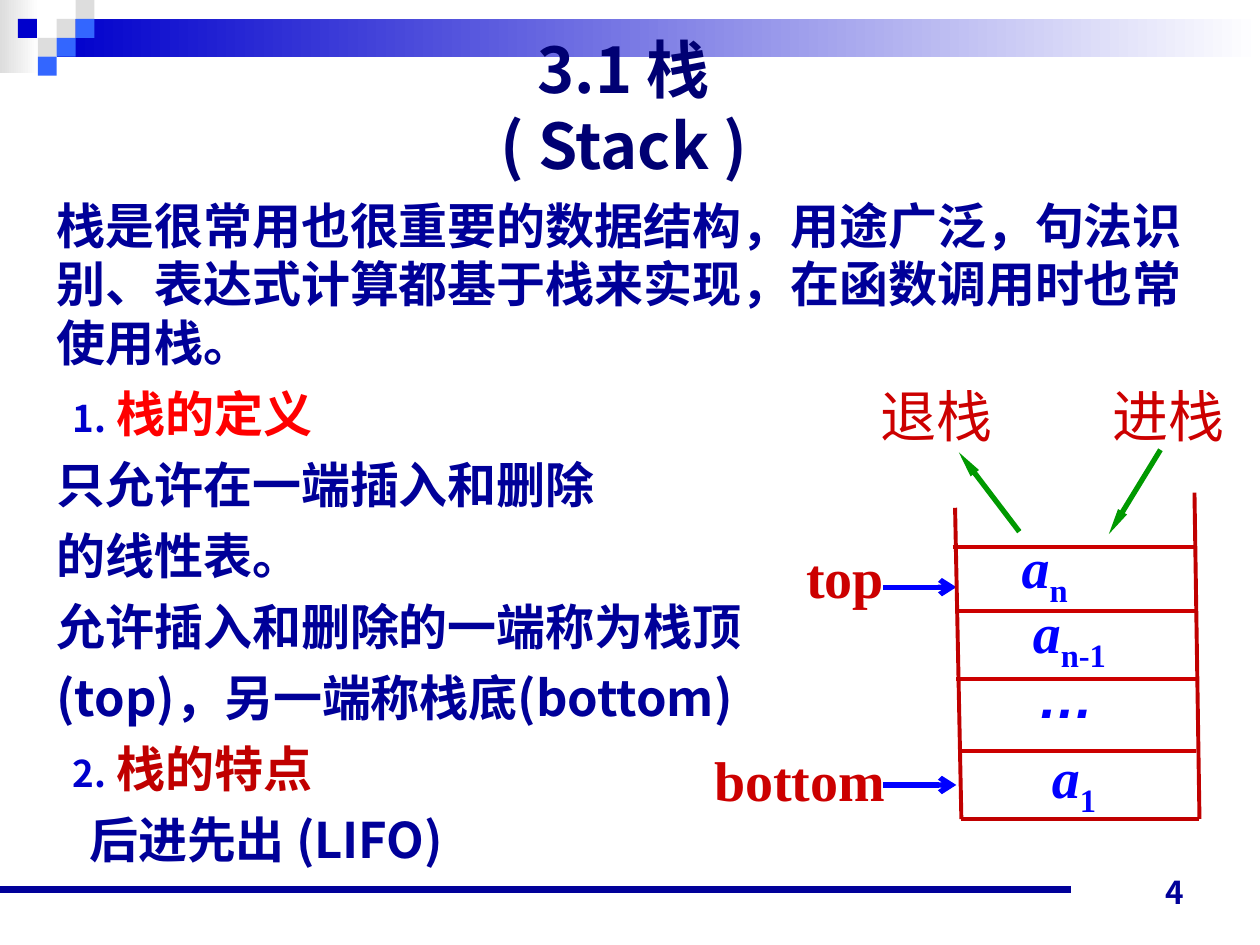
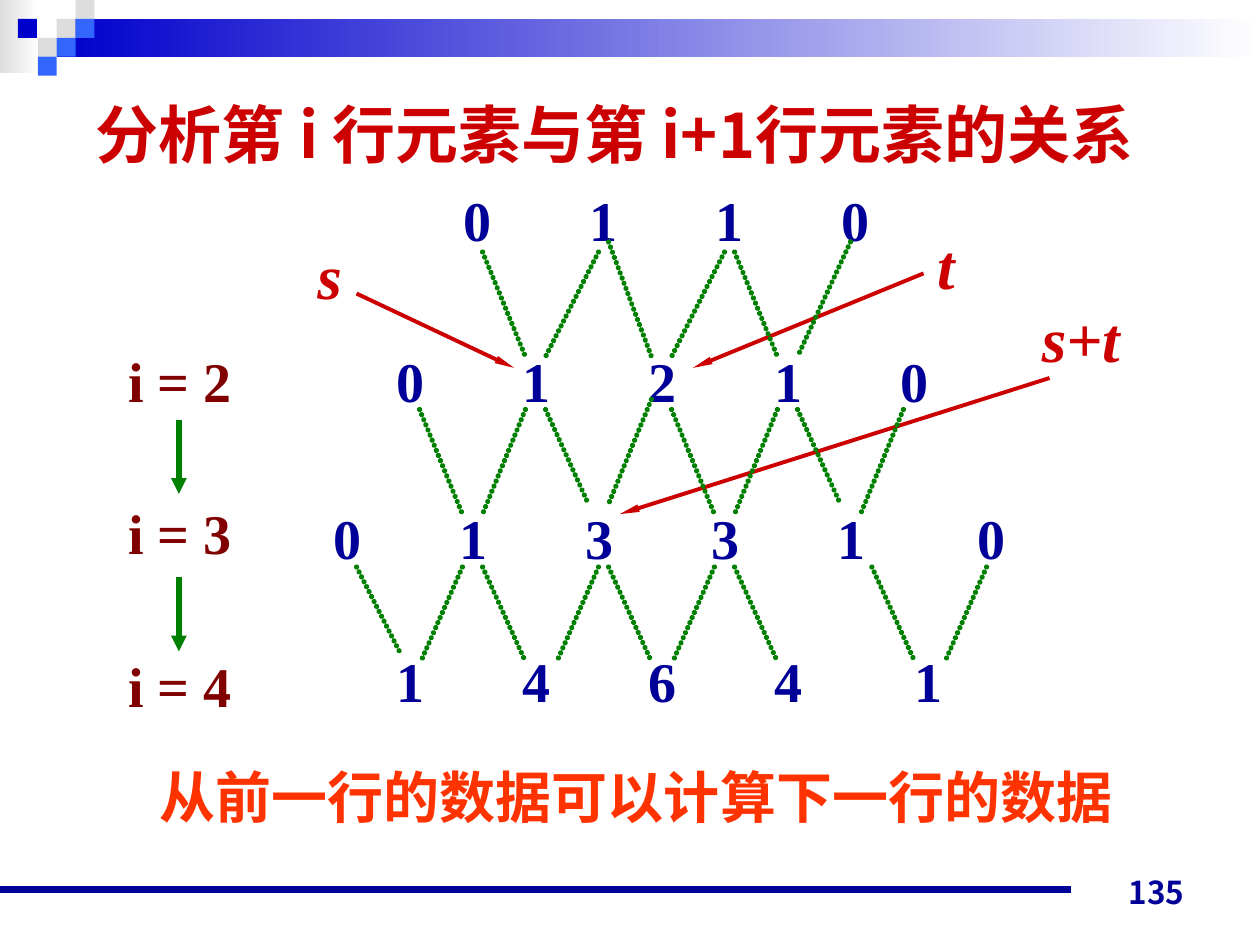
from lxml.etree import SubElement
from pptx import Presentation
from pptx.dml.color import RGBColor
from pptx.enum.shapes import MSO_CONNECTOR, MSO_SHAPE
from pptx.enum.text import MSO_ANCHOR, MSO_AUTO_SIZE, PP_ALIGN
from pptx.oxml.ns import qn
from pptx.util import Inches, Pt

WIDTH, HEIGHT = 10, 7.5
NAVY, BLUE, SKY, GREY = "000099", "0000CC", "3366FF", "DDDDDD"
RED, GREEN, INK, WHITE = "CC0000", "008000", "0000FF", "FFFFFF"
SANS, HAN, SERIF = "Noto Sans CJK JP", "Noto Sans CJK SC", "Times New Roman"

TITLE = {"name": SANS, "size": Pt(36), "bold": True}
BODY = {"name": HAN, "size": Pt(28), "bold": True}
NUMBER = {"name": SANS, "size": Pt(18), "bold": True}
PLAIN = {"name": SERIF, "size": Pt(32)}
STRONG = {**PLAIN, "bold": True}
ENTRY = {**STRONG, "italic": True}
POINTER = {**ENTRY, "size": Pt(36)}


def rgb(code):
    return RGBColor.from_string(code)


def style_run(run, color, style, east=None):
    """Apply font values; east names the font for Chinese text."""
    for key, value in style.items():
        setattr(run.font, key, value)
    run.font.color.rgb = rgb(color)
    latin = run.font._element.find(qn("a:latin"))
    ea = latin.makeelement(qn("a:ea"), {"typeface": east or style["name"]})
    latin.addnext(ea)


def write(paragraph, text, color, style, east=None, pitch=None):
    paragraph.text = text
    if pitch:
        paragraph.line_spacing = Pt(pitch)
    for run in paragraph.runs:
        style_run(run, color, style, east)


def add_box(slide, box, wrap=False, anchor=MSO_ANCHOR.TOP):
    frame = slide.shapes.add_textbox(*map(Inches, box)).text_frame
    frame.word_wrap = wrap
    frame.vertical_anchor = anchor
    return frame


def add_label(slide, box, text, color, style, wrap=False, **options):
    frame = add_box(slide, box, wrap)
    write(frame.paragraphs[0], text, color, style, **options)
    return frame.paragraphs[0]


def add_line(slide, start, end, color, width, head=None, slim=False, dotted=False):
    line = slide.shapes.add_connector(
        MSO_CONNECTOR.STRAIGHT, *map(Inches, (*start, *end)))
    line.line.color.rgb = rgb(color)
    line.line.width = Pt(width)
    properties = line.element.spPr
    stroke = properties.find(qn("a:ln"))
    if dotted:
        stroke.set("cap", "rnd")
        dashes = SubElement(stroke, qn("a:custDash"))
        SubElement(dashes, qn("a:ds"), d="100000", sp="5000")
    if head:
        size = {"w": "sm", "len": "lg"} if slim else {}
        SubElement(stroke, qn("a:tailEnd"), type=head, **size)
    SubElement(properties, qn("a:effectLst"))
    return line


def add_block(slide, box, color, fade=False):
    block = slide.shapes.add_shape(MSO_SHAPE.RECTANGLE, *map(Inches, box))
    block.shadow.inherit = False
    block.line.fill.background()
    if fade:
        block.fill.gradient()
        block.fill.gradient_angle = 0
        for stop, shade in zip(block.fill.gradient_stops, (color, WHITE)):
            stop.color.rgb = rgb(shade)
    else:
        block.fill.solid()
        block.fill.fore_color.rgb = rgb(color)
    return block


def decorate_layout(layout, slide):
    """Build the band, mosaic and rule on a slide, then move them to its layout."""
    tile = 0.15
    parts = [add_block(slide, (0, 0, 0.31, 0.58), GREY, fade=True),
             add_block(slide, (3 * tile, tile, WIDTH - 3 * tile, 2 * tile), BLUE, fade=True)]
    mosaic = [(3, 1, GREY), (4, 0, GREY), (4, 1, SKY), (2, 2, GREY),
              (0.95, 1, BLUE), (3, 2, SKY), (2, 3, SKY)]
    for column, row, color in mosaic:
        parts.append(add_block(slide, (column * tile, row * tile, tile, tile), color))
    rule = HEIGHT * 0.94 + 0.01
    parts.append(add_line(slide, (0, rule), (WIDTH * 0.85, rule), NAVY, 4.5))
    for part in parts:
        layout.shapes.element.append(part.element)


def set_title(slide, box, text, color, align, anchor):
    title = slide.shapes.title
    for side, value in zip(("left", "top", "width", "height"), box):
        setattr(title, side, Inches(value))
    frame = title.text_frame
    frame.auto_size = MSO_AUTO_SIZE.NONE
    frame.word_wrap = True
    frame.vertical_anchor = anchor
    write(frame.paragraphs[0], text, color, TITLE, pitch=43)
    frame.paragraphs[0].alignment = align


def add_page_number(slide, number):
    frame = add_box(slide, (7.17, 6.78, 2.33, 0.5), True, MSO_ANCHOR.BOTTOM)
    write(frame.paragraphs[0], number, NAVY, NUMBER)
    frame.paragraphs[0].alignment = PP_ALIGN.RIGHT


def indent(paragraph, left, first=0):
    properties = paragraph._p.get_or_add_pPr()
    properties.set("marL", str(Inches(left)))
    properties.set("indent", str(Inches(first)))
    return properties


def number_paragraph(paragraph, start):
    properties = indent(paragraph, 0.48, -0.35)
    SubElement(SubElement(properties, qn("a:buClr")), qn("a:srgbClr"), val=BLUE)
    SubElement(properties, qn("a:buSzPct"), val="75000")
    SubElement(properties, qn("a:buFont"), typeface=SANS)
    SubElement(properties, qn("a:buAutoNum"), type="arabicPeriod", startAt=str(start))


def add_definition(slide, box):
    paragraphs = [
        ("栈是很常用也很重要的数据结构，用途广泛，句法识别、表达式计算都基于栈来实现，在函数调用时也常使用栈。", NAVY, None),
        ("栈的定义", "FF0000", 1),
        ("只允许在一端插入和删除", NAVY, None),
        ("的线性表。", NAVY, None),
        ("允许插入和删除的一端称为栈顶", NAVY, None),
        ("(top)，另一端称栈底(bottom)", NAVY, None),
        ("栈的特点", "C00000", 2),
        ("后进先出 (LIFO)", NAVY, None),
    ]
    frame = add_box(slide, box, True)
    for position, (text, color, start) in enumerate(paragraphs):
        paragraph = frame.add_paragraph() if position else frame.paragraphs[0]
        write(paragraph, text, color, BODY, pitch=33.6)
        if position:
            paragraph.space_before = Pt(7)
        if start:
            number_paragraph(paragraph, start)
    indent(paragraph, 0.26)


def add_stack(slide, left, top):
    """Draw the stack with its top left corner at (left, top)."""
    def at(x, y):
        return left + x, top + y

    for x, text in ((-0.69, "退栈"), (1.15, "进栈")):
        add_label(slide, (*at(x, -0.93), 1.09, 0.64), text, RED, PLAIN, east=HAN, pitch=38.4)

    entries = [(0.43, 0.27, "a", "n"), (0.52, 0.78, "a", "n-1"),
               (0.56, 1.3, "…", ""), (0.67, 1.93, "a", "1")]
    for x, y, text, subscript in entries:
        style = ENTRY if subscript else {**ENTRY, "name": "Arial"}
        entry = add_label(slide, (*at(x, y), 1.1, 0.7), text, INK, style, wrap=True)
        if subscript:
            run = entry.add_run()
            run.text = subscript
            style_run(run, INK, STRONG)
            run.font._element.set("baseline", "-25000")

    ends = [(-1.28, 0.35, 0.82, "top", 0.75), (-2.01, 1.96, 1.56, "bottom", 2.32)]
    for x, y, width, text, arrow in ends:
        add_label(slide, (*at(x, y), width, 0.64), text, RED, STRONG)
        add_line(slide, at(-0.57, arrow), at(0.01, arrow), INK, 3, "arrow")

    for start, end in (((1.63, -0.34), (1.22, 0.33)), ((0.51, 0.31), (0.03, -0.32))):
        add_line(slide, at(*start), at(*end), "009900", 3, "triangle", slim=True)

    for x, y, end in ((-0.02, 0.43, 1.9), (0, 0.94, 1.91), (0.01, 1.48, 1.93), (0.03, 2.05, 1.91)):
        add_line(slide, at(x, y), at(end, y), RED, 2.25)
    corners = [(0, 0.12), (0.05, 2.59), (1.94, 2.59), (1.9, 0)]
    for start, end in zip(corners, corners[1:]):
        add_line(slide, at(*start), at(*end), "C00000", 2.25)


def add_row_counter(slide, left, top):
    for step in range(3):
        y = top + 1.21 * step
        add_label(slide, (left, y, 1.02, 0.64), f"i = {step + 2}", "800000", STRONG)
        if step < 2:
            x, y = left + 0.5, top + 0.63 + 1.25 * step
            add_line(slide, (x, y), (x, y + 0.59), GREEN, 3, "triangle")


def add_number_rows(slide, left, top):
    """Set each row of numbers on one-inch tab stops; wide rows have a wider last step."""
    rows = [(1.03, 0, "0110", 0), (0.5, 1.28, "01210", 0),
            (0, 2.53, "013310", 0.11), (0.5, 3.66, "14641", 0.11)]
    for x, y, digits, extra in rows:
        last = len(digits) - 1
        row = add_label(slide, (left + x, top + y, last + 0.7, 0.64),
                        "\t".join(digits), NAVY, STRONG, wrap=True)
        stops = row._p.get_or_add_pPr().makeelement(qn("a:tabLst"), {})
        for column in range(1, last + 1):
            position = column + (extra if column == last else 0)
            SubElement(stops, qn("a:tab"), pos=str(Inches(position)), algn="l")
        row._p.pPr.append(stops)


def add_sum_lines(slide, left, top):
    """Join each number to the two above it."""
    gaps = [
        (0.58, 1.41, (1.28, 2.28, 3.28), (2.2, 3.2, 4.2), 0.42),
        (1.83, 2.66, (0.78, 1.78, 2.78, 3.78), (1.62, 2.62, 3.62, 4.62), 0.34),
        (3.08, 3.83, (0.28, 1.28, 2.28, 3.28, 4.37), (1.12, 2.2, 3.12, 5.28), 0.33),
    ]
    raised_tops = {(0.58, 2.28), (0.58, 4.2), (1.83, 2.62)}
    raised_ends = {(1.83, 1.78), (1.83, 3.78), (1.83, 2.62), (3.08, 0.28)}
    for start, end, rightward, leftward, run in gaps:
        for x in rightward + leftward:
            shift = 0.34 if x in rightward else -run
            y0 = top + start - 0.08 * ((start, x) in raised_tops)
            y1 = top + end - 0.08 * ((start, x) in raised_ends)
            add_line(slide, (left + x, y0), (left + x + shift, y1), GREEN, 3, dotted=True)


def add_pointers(slide, left, top):
    pointers = [("s", (-0.13, 0.41, 0.39), (0.28, 0.91), (1.53, 1.5)),
                ("t", (4.79, 0.33, 0.34), (4.78, 0.75), (2.95, 1.5)),
                ("s+t", (5.62, 0.91, 0.82), (5.78, 1.58), (2.37, 2.66))]
    for text, (x, y, width), start, end in pointers:
        add_line(slide, (left + start[0], top + start[1]), (left + end[0], top + end[1]),
                 RED, 2.25, "triangle", slim=True)
        add_label(slide, (left + x, top + y, width, 0.7), text, RED, POINTER)


def build_stack_slide(slide):
    set_title(slide, (3.01, 0.56, 3.88, 0.57), "3.1 栈\v( Stack )", "000073",
              PP_ALIGN.CENTER, MSO_ANCHOR.MIDDLE)
    add_definition(slide, (0.35, 1.5, 9.26, 5.55))
    add_stack(slide, 7.58, 3.91)
    add_page_number(slide, "4")


def build_triangle_slide(slide):
    set_title(slide, (0.66, 0.71, 9.2, 0.7), "分析第 i 行元素与第 i+1行元素的关系", RED,
              PP_ALIGN.LEFT, MSO_ANCHOR.TOP)
    add_row_counter(slide, 0.92, 2.7)
    for add_part in (add_number_rows, add_pointers, add_sum_lines):
        add_part(slide, 2.55, 1.42)
    add_label(slide, (1.17, 6, 8, 0.64), "从前一行的数据可以计算下一行的数据", "FF3300",
              STRONG, wrap=True, east=HAN, pitch=38.4)
    add_page_number(slide, "135")


def main():
    deck = Presentation()
    deck.slide_width, deck.slide_height = Inches(WIDTH), Inches(HEIGHT)
    layout = deck.slide_layouts.get_by_name("Title Only")
    slides = [deck.slides.add_slide(layout) for _ in range(2)]
    decorate_layout(layout, slides[0])
    for build, slide in zip((build_stack_slide, build_triangle_slide), slides):
        build(slide)
    deck.save("out.pptx")


if __name__ == "__main__":
    main()
